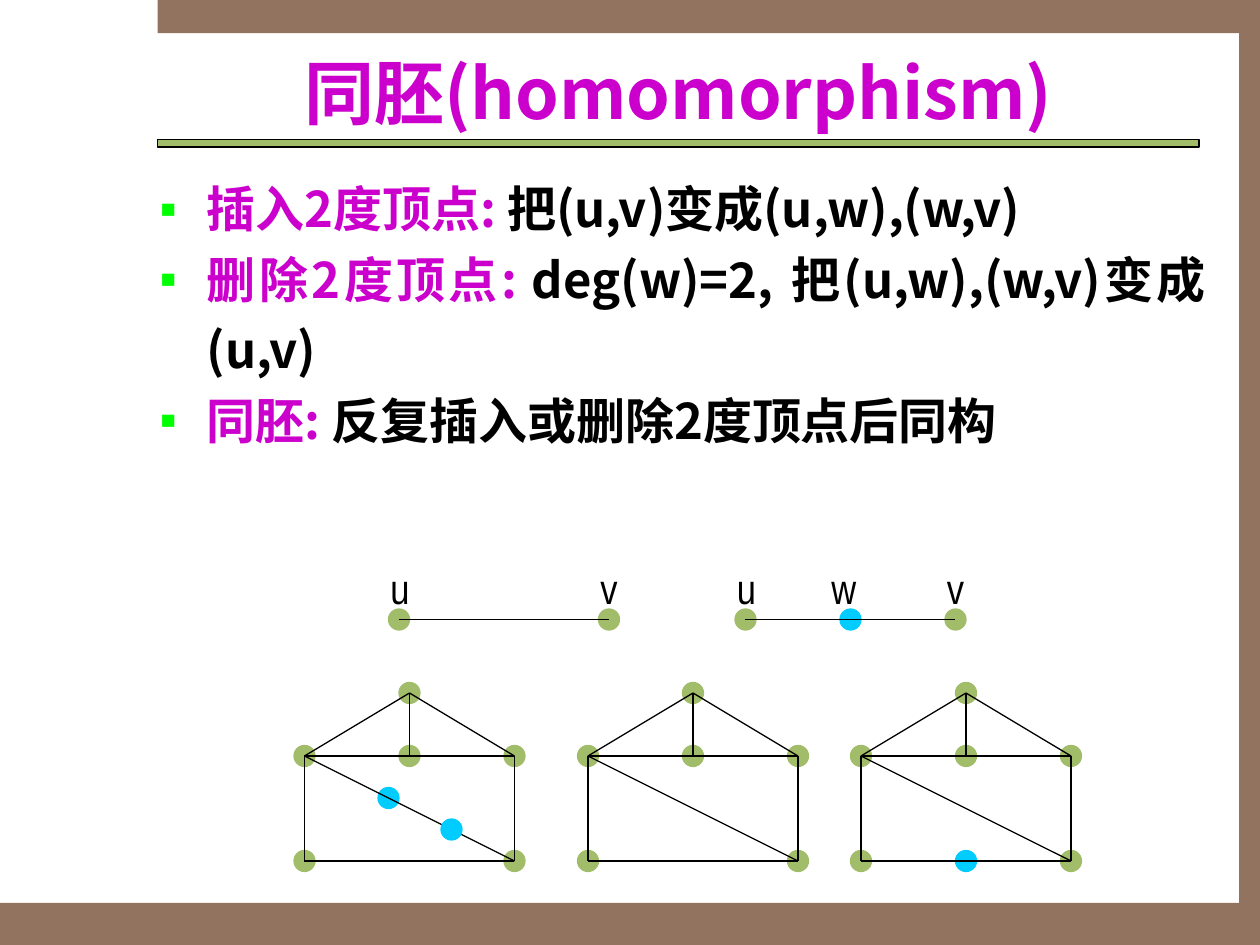
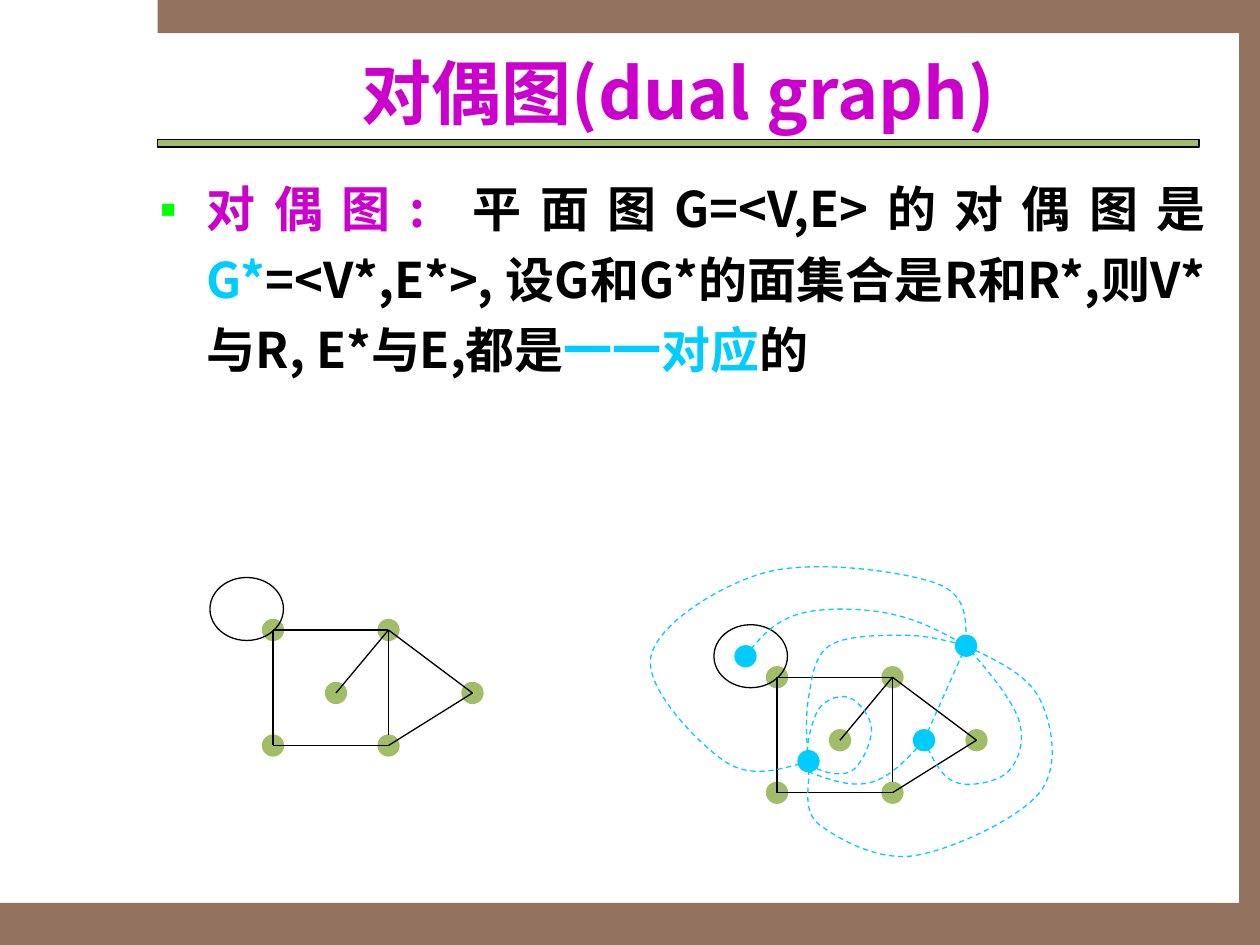
from dataclasses import dataclass
from typing import NamedTuple

from lxml.etree import SubElement
from pptx import Presentation
from pptx.dml.color import RGBColor
from pptx.enum.dml import MSO_LINE
from pptx.enum.shapes import MSO_CONNECTOR, MSO_SHAPE
from pptx.enum.text import MSO_ANCHOR, MSO_AUTO_SIZE, PP_ALIGN
from pptx.oxml.ns import qn
from pptx.util import Inches, Pt

HUES = {
    "brown": "91735F", "green": "A1BD69", "cyan": "00CCFF",
    "pink": "CC00CC", "lime": "00FF00", "black": "000000",
}
FONT, THIN = "Noto Sans CJK SC", "Arial Narrow"
WIDE, HIGH = Inches(10), Inches(7.5)
COLS = 120
CELL = WIDE // COLS

Point = tuple[float, float]


class Box(NamedTuple):
    """Left, top, width and height in grid cells."""
    x: float
    y: float
    w: float
    h: float


class Band(NamedTuple):
    """Frame bar with its fill and edge."""
    box: Box
    fill: str
    edge: str | None = None


class Run(NamedTuple):
    """Words in one colour."""
    words: str
    hue: str = "black"


@dataclass(frozen=True)
class Graph:
    """Vertices and edges measured from the first vertex."""
    dots: tuple[Point, ...]
    lines: tuple[tuple[Point, Point], ...]


BANDS = (
    Band(Box(0, 86, 120, 4), "brown"),
    Band(Box(15, 0, 105, 3.15), "brown"),
    Band(Box(118, 3, 2, 83), "brown"),
    Band(Box(15, 13.3, 99.2, 0.7), "green", "black"),
)
HEAD = Box(15, 4, 99.2, 9.5)

LEFT, MID, RIGHT, ROOF, BASE, FOOT = (0, 0), (10, 0), (20, 0), (10, -6), (0, 10), (20, 10)
HOUSE = Graph(
    (LEFT, BASE, MID, RIGHT, FOOT, ROOF),
    ((LEFT, BASE), (LEFT, FOOT), (RIGHT, FOOT), (BASE, FOOT),
     (LEFT, RIGHT), (LEFT, ROOF), (ROOF, RIGHT), (ROOF, MID)),
)

NW, SW, SE, NE, TIP, LEAF = (0, 0), (0, 11), (11, 11), (11, 0), (19, 6), (6, 6)
KITE = Graph(
    (NW, SW, SE, NE, TIP, LEAF),
    ((NW, SW), (SW, SE), (NW, NE), (NE, (11, 10)), (NE, TIP), (SE, TIP), (LEAF, NE)),
)

LOOP, CELLAR, WEDGE, OUTER = (71, 62.5), (77, 72.5), (88, 70.5), (92, 61.5)
CURVES = (
    (CELLAR, (76.6, 71.5), (77.3, 68.5), (78, 67.5), (78.7, 66.5), (80.2, 66.1),
     (81, 66.5), (81.8, 66.8), (83, 68.3), (83, 69.5), (83, 70.7), (82, 73),
     (81, 73.5), (80, 74), (77.5, 73.5), CELLAR),
    (CELLAR, (76.8, 70.4), (76.7, 68.3), (77, 66.5), (77.3, 64.7), (77.5, 62.5),
     (79, 61.5), (80.5, 60.5), (83.9, 60.5), (86, 60.5), (88.2, 60.5), (90.1, 61), OUTER),
    (WEDGE, (88.8, 72.2), (89.6, 74), (91, 74.5), (92.3, 75), (95, 74.5), (96, 73.5),
     (97, 72.5), (97.7, 70.5), (97, 68.5), (96.3, 66.5), (94.2, 64), OUTER),
    ((77, 73.5), (79.1, 74.3), (81.1, 75), (83, 74.5), (84.8, 74), (86.4, 72.3), WEDGE),
    (LOOP, (72.3, 60.8), (73.7, 59.2), (76, 58.5), (78.3, 57.8), (82.3, 57.9),
     (85, 58.5), (87.7, 59.1), (89.9, 60.3), OUTER),
    (CELLAR, (76.9, 72.5), (76.8, 72.5), (77, 73.5), (77.2, 74.5), (76.3, 77.2),
     (78, 78.5), (79.7, 79.8), (83.5, 82), (87, 81.5), (90.5, 81), (97, 78),
     (99, 75.5), (101, 73), (100.2, 68.9), (99, 66.5), (97.8, 64.2), (94.9, 62.9), OUTER),
    (CELLAR, (74.3, 73.3), (71.5, 74.2), (69, 72.5), (66.5, 70.8), (61.3, 65.5),
     (62, 62.5), (62.6, 59.5), (68.5, 55.7), (73, 54.5), (77.5, 53.3), (85.8, 54.4),
     (89, 55.5), (92.2, 56.6), (92, 59), OUTER),
)


def tint(name: str) -> RGBColor:
    """Return a named colour."""
    return RGBColor.from_string(HUES[name])


def span(*cells: float) -> list[int]:
    """Turn grid cells into slide lengths."""
    return [round(n * CELL) for n in cells]


def shift(spot: Point, by: Point) -> Point:
    """Move a point."""
    return spot[0] + by[0], spot[1] + by[1]


def paint(shape, fill: str | None, edge: str | None, dash: bool = False) -> None:
    """Set the fill and outline of a shape."""
    shape.shadow.inherit = False
    if fill:
        shape.fill.solid()
        shape.fill.fore_color.rgb = tint(fill)
    else:
        shape.fill.background()
    if edge:
        stroke(shape.line, edge, dash)
    else:
        shape.line.fill.background()


def stroke(line, hue: str, dash: bool = False) -> None:
    """Format a thin line."""
    line.color.rgb = tint(hue)
    line.width = Pt(0.75)
    if dash:
        line.dash_style = MSO_LINE.DASH


def form(slide, kind, box: Box, fill: str | None = None, edge: str | None = None):
    """Draw a preset shape."""
    shape = slide.shapes.add_shape(kind, *span(*box))
    paint(shape, fill, edge)
    return shape


def dot(slide, spot: Point, hue: str = "green") -> None:
    """Draw a vertex centred on a point."""
    form(slide, MSO_SHAPE.OVAL, Box(spot[0] - 1, spot[1] - 1, 2, 2), hue, hue)


def link(slide, start: Point, end: Point, hue: str = "black", dash: bool = False) -> None:
    """Draw a straight edge."""
    line = slide.shapes.add_connector(MSO_CONNECTOR.STRAIGHT, *span(*start, *end))
    SubElement(line.element.spPr, qn("a:effectLst"))
    stroke(line.line, hue, dash)


def bend(slide, knots: tuple[Point, ...]) -> None:
    """Draw a dashed chain of cubic curves."""
    pen = slide.shapes.build_freeform(*span(*knots[0]))
    pen.add_line_segments([span(*knot) for knot in knots[1:]], close=knots[0] == knots[-1])
    shape = pen.convert_to_shape()
    steps = list(shape.element.iter(qn("a:lnTo")))
    for i in range(0, len(steps), 3):
        steps[i].tag = qn("a:cubicBezTo")
        for step in steps[i + 1:i + 3]:
            steps[i].append(step[0])
            step.getparent().remove(step)
    paint(shape, None, "cyan", True)


def plot(slide, graph: Graph, at: Point) -> None:
    """Draw a graph at a point."""
    for spot in graph.dots:
        dot(slide, shift(spot, at))
    for start, end in graph.lines:
        link(slide, shift(start, at), shift(end, at))


def write(para, text: str, *, size: int, hue: str = "black", font: str = FONT,
          bold: bool = False) -> None:
    """Add formatted text to a paragraph."""
    run = para.add_run()
    run.text = text
    run.font.size, run.font.bold = Pt(size), bold
    run.font.color.rgb = tint(hue)
    run.font.name = font
    SubElement(run.font._element, qn("a:ea"), typeface=font)


def place(shape, box: Box) -> None:
    """Put a shape in its box."""
    shape.left, shape.top, shape.width, shape.height = span(*box)


def mark(para) -> None:
    """Give a paragraph its hanging square bullet."""
    props = para._p.get_or_add_pPr()
    hang, = span(4.5)
    props.set("marL", str(hang))
    props.set("indent", str(-hang))
    SubElement(SubElement(props, qn("a:buClr")), qn("a:srgbClr"), val=HUES["lime"])
    SubElement(props, qn("a:buChar"), char="▪")
    para.alignment = PP_ALIGN.JUSTIFY
    para.line_spacing = 1.2
    para.space_before = Pt(0)


def frame(slide) -> None:
    """Move the shared bands to the master of a slide."""
    tree = slide.slide_layout.slide_master.shapes.element
    for n, band in enumerate(BANDS):
        shape = form(slide, MSO_SHAPE.RECTANGLE, band.box, band.fill, band.edge)
        shape.element.nvSpPr.cNvPr.set("id", str(20 + n))
        tree.insert(2 + n, shape.element)


def begin(deck, title: str, items: tuple[tuple[Run, ...], ...], tall: float):
    """Add a slide with its title and list."""
    slide = deck.slides.add_slide(deck.slide_layouts[1])
    head, body = slide.placeholders
    place(head, HEAD)
    place(body, Box(14, 15.3, 102, tall))
    for hold in (head, body):
        hold.text_frame.auto_size = MSO_AUTO_SIZE.NONE
        hold.text_frame.word_wrap = True
    head.text_frame.vertical_anchor = MSO_ANCHOR.MIDDLE
    line = head.text_frame.paragraphs[0]
    line.alignment = PP_ALIGN.CENTER
    write(line, title, size=40, hue="pink", bold=True)
    text = body.text_frame
    text.vertical_anchor = MSO_ANCHOR.TOP
    for n, item in enumerate(items):
        para = text.add_paragraph() if n else text.paragraphs[0]
        mark(para)
        for run in item:
            write(para, run.words, size=28, hue=run.hue, bold=True)
    return slide


def label(slide, text: str, x: float, wide: float = 4) -> None:
    """Name a vertex."""
    box = slide.shapes.add_textbox(*span(x, 53, wide, 6))
    box.text_frame.word_wrap = True
    write(box.text_frame.paragraphs[0], text, size=24, font=THIN)


def morph(deck):
    """Build the slide on inserting and deleting vertices."""
    slide = begin(deck, "同胚(homomorphism)", (
        (Run("插入2度顶点: ", "pink"), Run("把(u,v)变成(u,w),(w,v) ")),
        (Run("删除2度顶点:", "pink"), Run(" deg(w)=2, 把(u,w),(w,v)变成(u,v)")),
        (Run("同胚: ", "pink"), Run("反复插入或删除2度顶点后同构")),
    ), 34.8)
    for x, extra in ((29, (8, 4)), (56, None), (82, (10, 10))):
        if extra:
            dot(slide, shift(extra, (x, 72)), "cyan")
        plot(slide, HOUSE, (x, 72))
    dot(slide, (43, 79), "cyan")
    dot(slide, (81, 59), "cyan")
    for x in (38, 71):
        ends = (x, 59), (x + 20, 59)
        for spot in ends:
            dot(slide, spot)
        link(slide, *ends)
        label(slide, "u", x - 2)
        label(slide, "v", x + 18)
    label(slide, "w", 78, 5)
    return slide


def dual(deck) -> None:
    """Build the slide on dual graphs."""
    slide = begin(deck, "对偶图(dual graph)", ((
        Run("对偶图: ", "pink"), Run("平面图G=<V,E>的对偶图是"), Run("G*", "cyan"),
        Run("=<V*,E*>, 设G和G*的面集合是R和R*,则V*与R, E*与E,都是"),
        Run("一一对应", "cyan"), Run("的"),
    ),), 21.4)
    for x, y in ((26, 60), (74, 64.5)):
        plot(slide, KITE, (x, y))
        form(slide, MSO_SHAPE.OVAL, Box(x - 6, y - 5, 7, 6), edge="black")
    for spot in (LOOP, CELLAR, WEDGE, OUTER):
        dot(slide, spot, "cyan")
    link(slide, WEDGE, OUTER, "cyan", True)
    for knots in CURVES:
        bend(slide, knots)


def main() -> None:
    """Build and save the deck."""
    deck = Presentation()
    deck.slide_width, deck.slide_height = WIDE, HIGH
    frame(morph(deck))
    dual(deck)
    deck.save("out.pptx")


if __name__ == "__main__":
    main()
